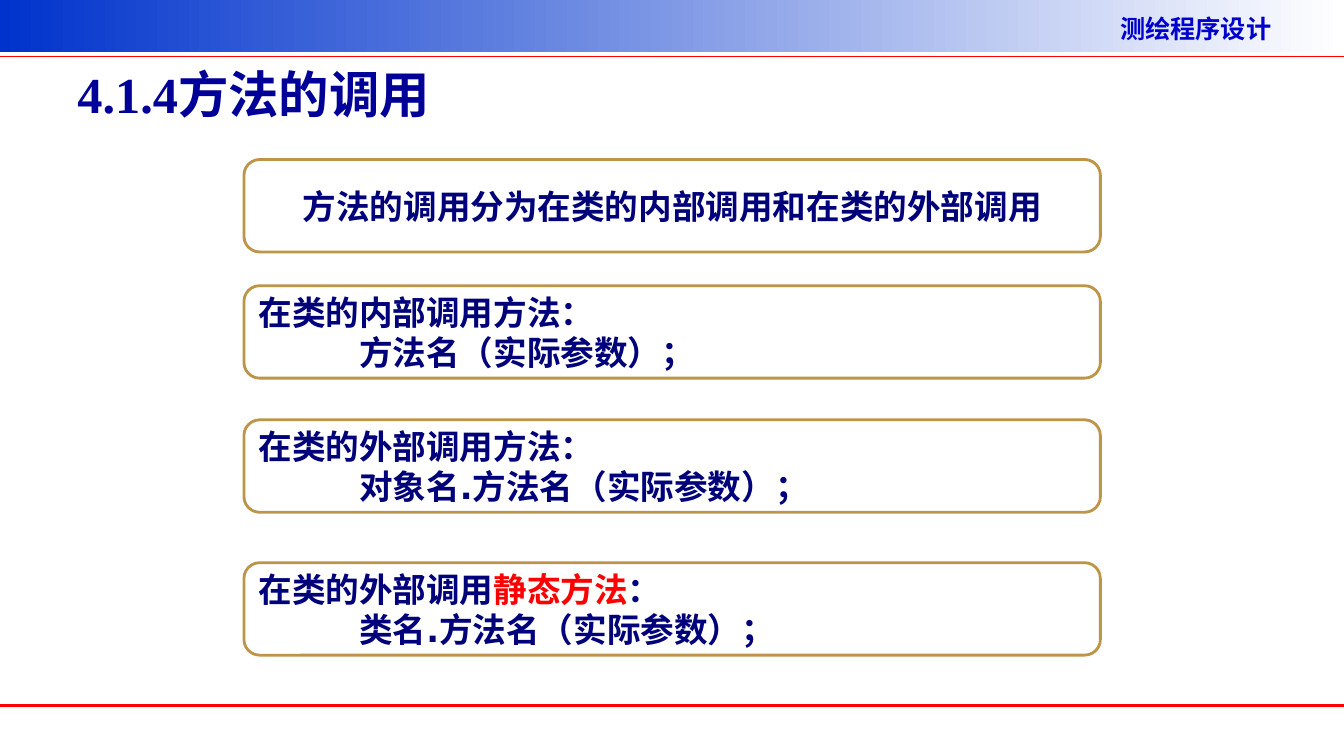
from dataclasses import dataclass

from lxml import etree
from pptx import Presentation
from pptx import util as u
from pptx.dml.color import RGBColor
from pptx.enum import shapes, text
from pptx.oxml import ns


@dataclass(frozen=True)
class Theme:
    """Colours, fonts and type sizes of the slide."""
    band: str = "0033CC"
    paper: str = "FFFFFF"
    course: str = "0000CC"
    title: str = "000099"
    body: str = "00007A"
    accent: str = "FF0000"
    border: str = "BC9549"
    cjk: str = "Noto Sans CJK SC"
    serif: str = "Times New Roman"
    sans: str = "DejaVu Sans"
    course_size: int = 18
    title_size: int = 36
    body_size: int = 24


class SlideBuilder:
    """Holds the theme and the current slide and draws each kind of element."""

    def __init__(self, deck, theme):
        """Add a title-only slide to the deck."""
        self.theme = theme
        self.slide = deck.slides.add_slide(deck.slide_layouts[5])

    def apply(self, target, values):
        """Set every attribute named in values on the target."""
        for name, value in values.items():
            setattr(target, name, value)

    def frame(self, holder, anchor):
        """Give a text holder its margins, wrapping and anchor."""
        self.apply(holder.text_frame, dict(
            word_wrap=True, auto_size=text.MSO_AUTO_SIZE.NONE,
            vertical_anchor=anchor,
            margin_left=u.Cm(0.25), margin_right=u.Cm(0.25),
            margin_top=u.Cm(0.13), margin_bottom=u.Cm(0.13)))
        return holder.text_frame

    def add_words(self, paragraph, words, font, size, color):
        """Append a bold run with Latin and East Asian fonts."""
        run = paragraph.add_run()
        run.text = words
        self.apply(run.font, dict(name=font, size=u.Pt(size), bold=True))
        run.font.color.rgb = RGBColor.from_string(color)
        east_asian = etree.Element(ns.qn("a:ea"), typeface=self.theme.cjk)
        run.font._element.find(ns.qn("a:latin")).addnext(east_asian)

    def band(self, width, height):
        """Draw the header band fading to white."""
        band = self.slide.shapes.add_shape(
            shapes.MSO_SHAPE.RECTANGLE, 0, 0, u.Cm(width), u.Cm(height))
        band.shadow.inherit = False
        band.line.fill.background()
        band.fill.gradient()
        band.fill.gradient_angle = 0
        for stop, color in zip(band.fill.gradient_stops,
                               (self.theme.band, self.theme.paper)):
            stop.color.rgb = RGBColor.from_string(color)

    def rule(self, width, top, weight):
        """Draw a full-width horizontal rule."""
        rule = self.slide.shapes.add_connector(
            shapes.MSO_CONNECTOR.STRAIGHT, 0, u.Cm(top), u.Cm(width), u.Cm(top))
        rule.line.width = u.Pt(weight)
        rule.line.color.rgb = RGBColor.from_string(self.theme.accent)
        etree.SubElement(rule._element.spPr, ns.qn("a:effectLst"))

    def course(self, words, left, top, width, height):
        """Put the course name in the header."""
        label = self.slide.shapes.add_textbox(*map(u.Cm, (left, top, width, height)))
        line = self.frame(label, text.MSO_ANCHOR.MIDDLE).paragraphs[0]
        self.add_words(line, words, self.theme.cjk,
                       self.theme.course_size, self.theme.course)

    def title(self, words, left, top, width, height):
        """Place and format the title."""
        heading = self.slide.shapes.title
        self.apply(heading, dict(left=u.Cm(left), top=u.Cm(top),
                                 width=u.Cm(width), height=u.Cm(height)))
        line = self.frame(heading, text.MSO_ANCHOR.MIDDLE).paragraphs[0]
        line.alignment = text.PP_ALIGN.JUSTIFY
        self.add_words(line, words, self.theme.serif,
                       self.theme.title_size, self.theme.title)

    def card(self, lines, top, alignment):
        """Draw a rounded card whose lines are lists of words and colour."""
        card = self.slide.shapes.add_shape(
            shapes.MSO_SHAPE.ROUNDED_RECTANGLE,
            u.Cm(6.15), u.Cm(top), u.Cm(21.59), u.Cm(2.33))
        card.shadow.inherit = False
        card.adjustments[0] = 0.17
        card.fill.solid()
        card.fill.fore_color.rgb = RGBColor.from_string(self.theme.paper)
        card.line.width = u.Pt(2)
        card.line.color.rgb = RGBColor.from_string(self.theme.border)
        body = self.frame(card, text.MSO_ANCHOR.MIDDLE)
        for index, runs in enumerate(lines):
            line = body.add_paragraph() if index else body.paragraphs[0]
            line.alignment = alignment
            tabs = etree.SubElement(line._p.get_or_add_pPr(), ns.qn("a:tabLst"))
            etree.SubElement(tabs, ns.qn("a:tab"), pos=str(u.Cm(2.54)), algn="l")
            for words, color in runs:
                self.add_words(line, words, self.theme.sans,
                               self.theme.body_size, color)


def main():
    """Build and save the slide."""
    theme = Theme()
    width = 33.88
    deck = Presentation()
    deck.slide_width, deck.slide_height = u.Cm(width), u.Cm(19.05)
    page = SlideBuilder(deck, theme)
    page.band(width, 1.32)
    page.course("测绘程序设计", 27.99, 0.2, 5.8, 1.02)
    page.rule(width, 1.42, 1)
    page.rule(width, 17.78, 2.25)
    page.title("4.1.4方法的调用", 1.7, 0.76, 30.48, 3.18)

    body = theme.body
    page.card([[("方法的调用分为在类的内部调用和在类的外部调用", body)]],
              4.02, text.PP_ALIGN.CENTER)
    calls = [
        (7.2, [("在类的内部调用方法：", body)], "方法名（实际参数）；"),
        (10.58, [("在类的外部调用方法：", body)], "对象名.方法名（实际参数）；"),
        (14.18, [("在类的外部调用", body), ("静态方法", theme.accent), ("：", body)],
         "类名.方法名（实际参数）；"),
    ]
    for top, heading, syntax in calls:
        page.card([heading, [("\t" + syntax, body)]], top, text.PP_ALIGN.LEFT)
    deck.save("out.pptx")


if __name__ == "__main__":
    main()
